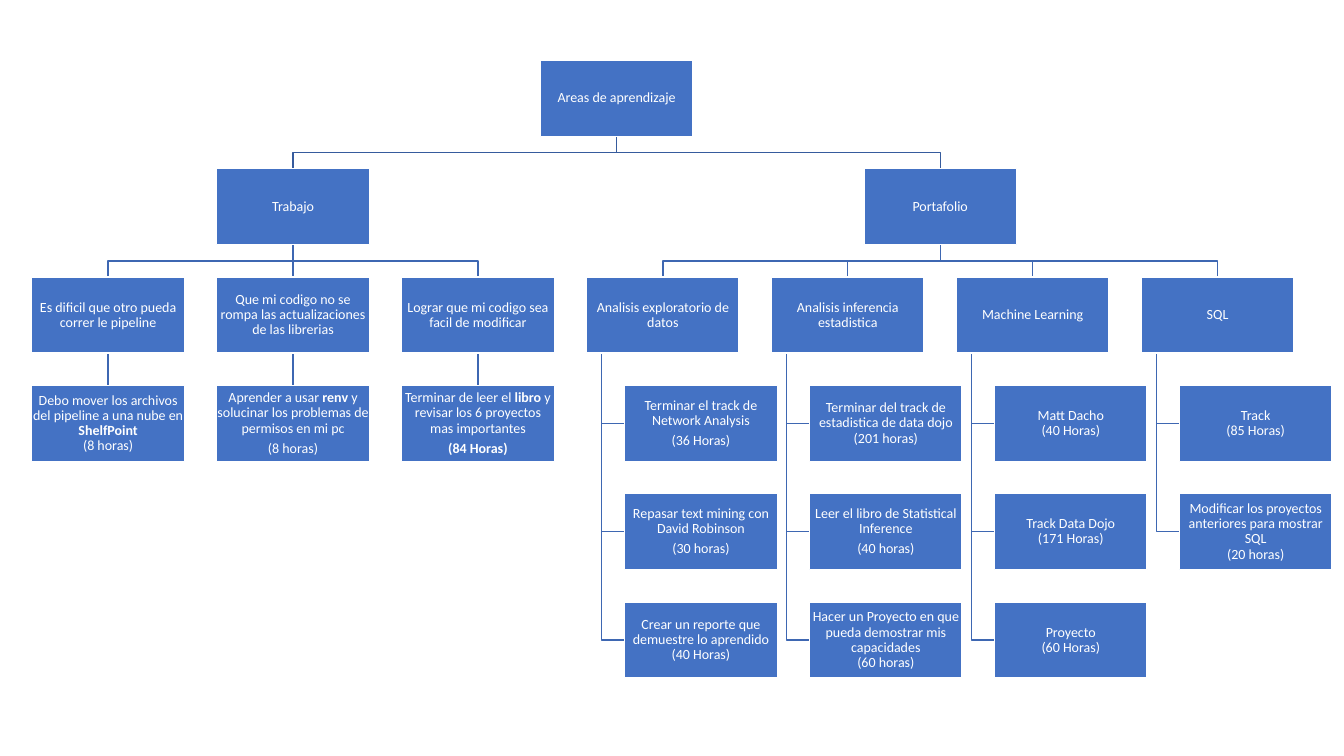
from lxml.etree import SubElement
from pptx import Presentation
from pptx.dml.color import RGBColor
from pptx.enum.shapes import MSO_CONNECTOR as Connector, MSO_SHAPE as Shape
from pptx.enum.text import MSO_ANCHOR as Anchor, PP_ALIGN as Align
from pptx.oxml.ns import qn
from pptx.util import Cm, Pt

WHITE = RGBColor(0xFF, 0xFF, 0xFF)
BOX_BLUE = RGBColor(0x44, 0x72, 0xC4)
ROOT_LINE = RGBColor(0x36, 0x5B, 0x9D)
BRANCH_LINE = RGBColor(0x3E, 0x67, 0xB2)

BOX_WIDTH, BOX_HEIGHT = 3.85, 1.92
FIRST_LEFT, FIRST_TOP = 0.8, 1.52
COLUMN_STEP, ROW_STEP = 4.66, 2.73
TASK_INDENT = 0.96
TRUNK_INSET = BOX_WIDTH / 10

# Markup: ** switches bold, | starts a paragraph, \n breaks a line.
ROOT = "Areas de aprendizaje"
# Each area: name, whether its tasks hang from a side trunk, goals with tasks.
AREAS = [
    ("Trabajo", False, [
        ("Es dificil que otro pueda correr le pipeline",
         ["Debo mover los archivos del pipeline a una nube en **ShelfPoint\n**(8 horas)"]),
        ("Que mi codigo no se rompa las actualizaciones de las librerias",
         ["Aprender a usar **renv** y solucinar los problemas de permisos en mi pc|(8 horas)"]),
        ("Lograr que mi codigo sea facil de modificar",
         ["Terminar de leer el **libro **y revisar los 6 proyectos mas importantes"
          "|**(84 Horas)**"]),
    ]),
    ("Portafolio", True, [
        ("Analisis exploratorio de datos",
         ["Terminar el track de Network Analysis|(36 Horas)",
          "Repasar text mining con David Robinson|(30 horas)",
          "Crear un reporte que demuestre lo aprendido\n(40 Horas)"]),
        ("Analisis inferencia estadistica",
         ["Terminar del track de estadistica de data dojo\n(201 horas)",
          "Leer el libro de Statistical Inference|(40 horas)",
          "Hacer un Proyecto en que pueda demostrar mis capacidades\n(60 horas)"]),
        ("Machine Learning",
         ["Matt Dacho\n(40 Horas)", "Track Data Dojo\n(171 Horas)", "Proyecto\n(60 Horas)"]),
        ("SQL",
         ["Track\n(85 Horas)",
          "Modificar los proyectos anteriores para mostrar SQL\n(20 horas)"]),
    ]),
]


class TreeSlide:
    """Holds the chart style and the slide being drawn."""

    font_name, font_size, line_width = "Calibri", Pt(10), Pt(1)

    def __init__(self, slide):
        """Keep the slide that receives the elements."""
        self.shapes = slide.shapes

    def box(self, left, top, text):
        """Draw one blue box with centred text."""
        shape = self.shapes.add_shape(
            Shape.RECTANGLE, Cm(left), Cm(top), Cm(BOX_WIDTH), Cm(BOX_HEIGHT))
        shape.shadow.inherit = False
        shape.fill.solid()
        shape.fill.fore_color.rgb = BOX_BLUE
        self.stroke(shape.line, WHITE)
        frame = shape.text_frame
        frame.word_wrap = True
        frame.vertical_anchor = Anchor.MIDDLE
        frame.margin_left = frame.margin_right = Cm(0.02)
        frame.margin_top = frame.margin_bottom = Cm(0.02)
        for index, part in enumerate(text.split("|")):
            paragraph = frame.add_paragraph() if index else frame.paragraphs[0]
            self.fill_paragraph(paragraph, part)

    def fill_paragraph(self, paragraph, text):
        """Fill a paragraph run by run, following the markup."""
        paragraph.alignment = Align.CENTER
        paragraph.line_spacing = 0.9
        paragraph.space_after = Pt(3.5)
        for index, piece in enumerate(text.split("**")):
            for line_number, line in enumerate(piece.split("\n")):
                if line_number:
                    paragraph.add_line_break()
                if line:
                    run = paragraph.add_run()
                    run.text = line
                    run.font.name, run.font.size = self.font_name, self.font_size
                    run.font.bold = index % 2 == 1
                    run.font.color.rgb = WHITE
        for line_break in paragraph._p.findall(qn("a:br")):
            SubElement(line_break, qn("a:rPr"), sz=str(int(self.font_size.pt * 100)))

    def branch(self, points, color):
        """Draw a straight connector or an angled line through the points."""
        points = [(Cm(x), Cm(y)) for x, y in points]
        if len(points) == 2:
            shape = self.shapes.add_connector(Connector.STRAIGHT, *points[0], *points[1])
            SubElement(shape._element.spPr, qn("a:effectLst"))
        else:
            builder = self.shapes.build_freeform(*points[0])
            builder.add_line_segments(points[1:], close=False)
            shape = builder.convert_to_shape()
            shape.shadow.inherit = False
            shape.fill.background()
        self.stroke(shape.line, color)

    def stroke(self, line, color):
        """Give a line its colour and width."""
        line.color.rgb = color
        line.width = self.line_width


def place(column, row):
    """Return the left and top of a grid cell."""
    return FIRST_LEFT + column * COLUMN_STEP, FIRST_TOP + row * ROW_STEP


def drop(parent, child):
    """Return the points from the bottom of a parent to the top of a child."""
    start, end = parent[0] + BOX_WIDTH / 2, child[0] + BOX_WIDTH / 2
    bottom, top = parent[1] + BOX_HEIGHT, child[1]
    if abs(start - end) < 0.01:
        return [(start, bottom), (start, top)]
    middle = (bottom + top) / 2
    return [(start, bottom), (start, middle), (end, middle), (end, top)]


def hang(parent, child):
    """Return the points from a side trunk to the left edge of a child."""
    trunk, level = parent[0] + TRUNK_INSET, child[1] + BOX_HEIGHT / 2
    return [(trunk, parent[1] + BOX_HEIGHT), (trunk, level), (child[0], level)]


def lay_out():
    """Return the boxes and branches of the whole tree."""
    boxes, branches, area_columns = [], [], []
    first_column = 0
    for area, hanging, goals in AREAS:
        area_column = first_column + (len(goals) - 1) / 2
        area_columns.append(area_column)
        area_spot = place(area_column, 1)
        boxes.append((area_spot, area))
        for column, (goal, tasks) in enumerate(goals, first_column):
            goal_spot = place(column, 2)
            boxes.append((goal_spot, goal))
            branches.append((drop(area_spot, goal_spot), BRANCH_LINE))
            for row, task in enumerate(tasks, 3):
                left, top = place(column, row)
                task_spot = (left + TASK_INDENT * hanging, top)
                boxes.append((task_spot, task))
                route = hang if hanging else drop
                branches.append((route(goal_spot, task_spot), BRANCH_LINE))
        first_column += len(goals)
    root_spot = place(sum(area_columns) / len(area_columns), 0)
    boxes.insert(0, (root_spot, ROOT))
    for column in area_columns:
        branches.append((drop(root_spot, place(column, 1)), ROOT_LINE))
    return boxes, branches


presentation = Presentation()
presentation.slide_width, presentation.slide_height = Cm(33.87), Cm(19.05)
tree = TreeSlide(presentation.slides.add_slide(presentation.slide_layouts[6]))
boxes, branches = lay_out()
for points, color in branches:
    tree.branch(points, color)
for (left, top), text in boxes:
    tree.box(left, top, text)
presentation.save("out.pptx")
